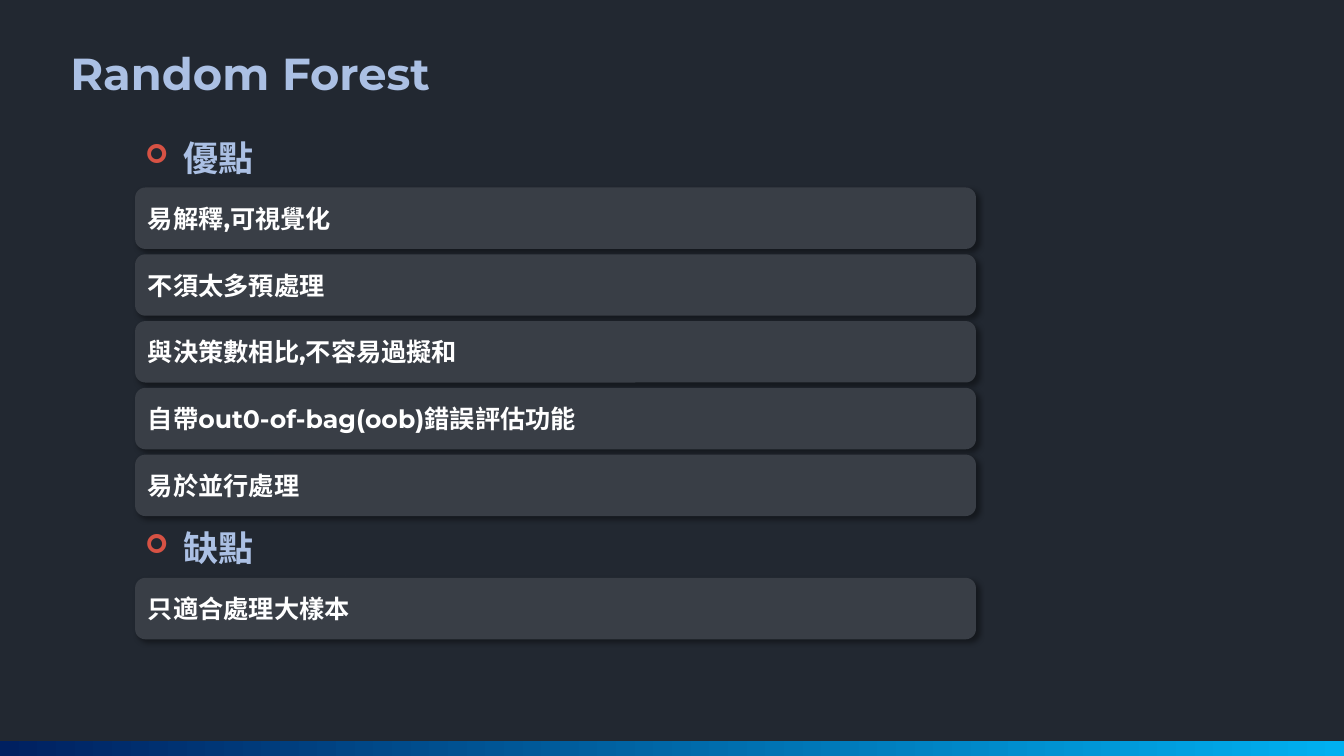
from lxml import etree
from pptx import Presentation
from pptx import util as u
from pptx.dml.color import RGBColor
from pptx.enum import shapes, text
from pptx.oxml.ns import qn

WIDTH, HEIGHT = 13.33, 7.5
HEADING_STEP, ROW_STEP, ROW_HEIGHT = 0.56, 0.6625, 0.61
FONT = "Montserrat"
COLORS = {
    "background": "222831", "card": "393E46", "heading": "ABC0E4",
    "white": "FFFFFF", "bullet": "D75244", "shadow": "000000",
    "navy": "002060", "sky": "00B0F0",
}
SECTIONS = [
    ("優點", ["易解釋,可視覺化", "不須太多預處理", "與決策數相比,不容易過擬和",
            "自帶out0-of-bag(oob)錯誤評估功能", "易於並行處理"]),
    ("缺點", ["只適合處理大樣本"]),
]


def rgb(name):
    """Return a palette colour."""
    return RGBColor.from_string(COLORS[name])


def add_node(parent, tag, **attrs):
    """Append a drawing element and return it."""
    return etree.SubElement(parent, qn(tag), attrs)


def write(p, words, size, color):
    """Put bold text in a paragraph."""
    p.text = words
    p.font.name, p.font.size, p.font.bold = FONT, u.Pt(size), True
    p.font.color.rgb = rgb(color)


def add_shape(slide, kind, box):
    """Add a preset shape without outline or theme shadow."""
    sp = slide.shapes.add_shape(kind, *map(u.Inches, box))
    sp.shadow.inherit = False
    sp.line.fill.background()
    return sp


def add_label(slide, box, words, size, bullet=None):
    """Add an unwrapped heading, optionally with a bullet."""
    tf = slide.shapes.add_textbox(*map(u.Inches, box)).text_frame
    tf.word_wrap = False
    tf.auto_size = text.MSO_AUTO_SIZE.SHAPE_TO_FIT_TEXT
    p = tf.paragraphs[0]
    if bullet:
        pPr = p._p.get_or_add_pPr()
        indent = u.Inches(0.38)
        pPr.set("marL", str(indent))
        pPr.set("indent", str(-indent))
        add_node(add_node(pPr, "a:buClr"), "a:srgbClr", val=COLORS["bullet"])
        add_node(pPr, "a:buSzPct", val="75000")
        add_node(pPr, "a:buFont", typeface="Wingdings")
        add_node(pPr, "a:buChar", char=bullet)
    write(p, words, size, "heading")


def add_card(slide, box, words):
    """Add a rounded card with a soft shadow and left-aligned text."""
    sp = add_shape(slide, shapes.MSO_SHAPE.ROUNDED_RECTANGLE, box)
    sp.fill.solid()
    sp.fill.fore_color.rgb = rgb("card")
    effects = sp._element.spPr.find(qn("a:effectLst"))
    shadow = add_node(effects, "a:outerShdw", blurRad=str(u.Pt(4)), dist=str(u.Pt(3)),
                      dir="2700000", algn="tl", rotWithShape="0")
    color = add_node(shadow, "a:srgbClr", val=COLORS["shadow"])
    add_node(color, "a:alpha", val="40000")
    tf = sp.text_frame
    tf.word_wrap = True
    tf.vertical_anchor = text.MSO_ANCHOR.MIDDLE
    p = tf.paragraphs[0]
    p.alignment = text.PP_ALIGN.LEFT
    write(p, words, 18, "white")


def add_section(slide, left, top, width, heading, points):
    """Add a heading over its cards and return the bottom of the section."""
    add_label(slide, (left, top, 1.28, 0.52), heading, 25, "➢")
    top += HEADING_STEP
    for i, point in enumerate(points):
        add_card(slide, (left, top + i * ROW_STEP, width, ROW_HEIGHT), point)
    return top + len(points) * ROW_STEP


def add_footer(slide, box):
    """Add the gradient bar along the bottom edge."""
    sp = add_shape(slide, shapes.MSO_SHAPE.RECTANGLE, box)
    sp.fill.gradient()
    sp.fill.gradient_angle = 0
    for stop, name in zip(sp.fill.gradient_stops, ("navy", "sky")):
        stop.color.rgb = rgb(name)


def main():
    """Build and save the slide."""
    prs = Presentation()
    prs.slide_width, prs.slide_height = u.Inches(WIDTH), u.Inches(HEIGHT)
    slide = prs.slides.add_slide(prs.slide_layouts[6])
    fill = slide.background.fill
    fill.solid()
    fill.fore_color.rgb = rgb("background")
    add_footer(slide, (0, HEIGHT * 0.98, WIDTH, HEIGHT * 0.02))
    add_label(slide, (0.6, 0.4, 3.91, 0.64), "Random Forest", 32)
    top = 1.3
    for heading, points in SECTIONS:
        top = add_section(slide, 1.34, top, 8.34, heading, points)
    prs.save("out.pptx")


if __name__ == "__main__":
    main()
